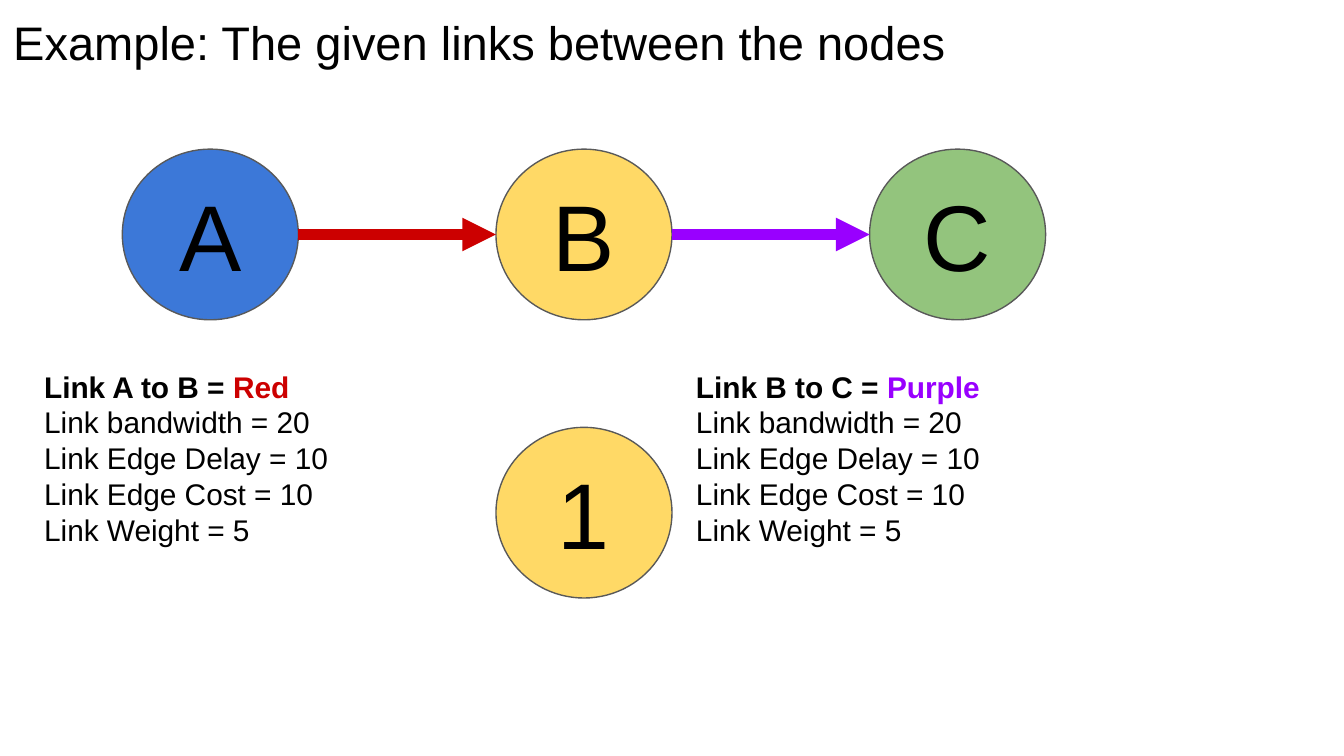
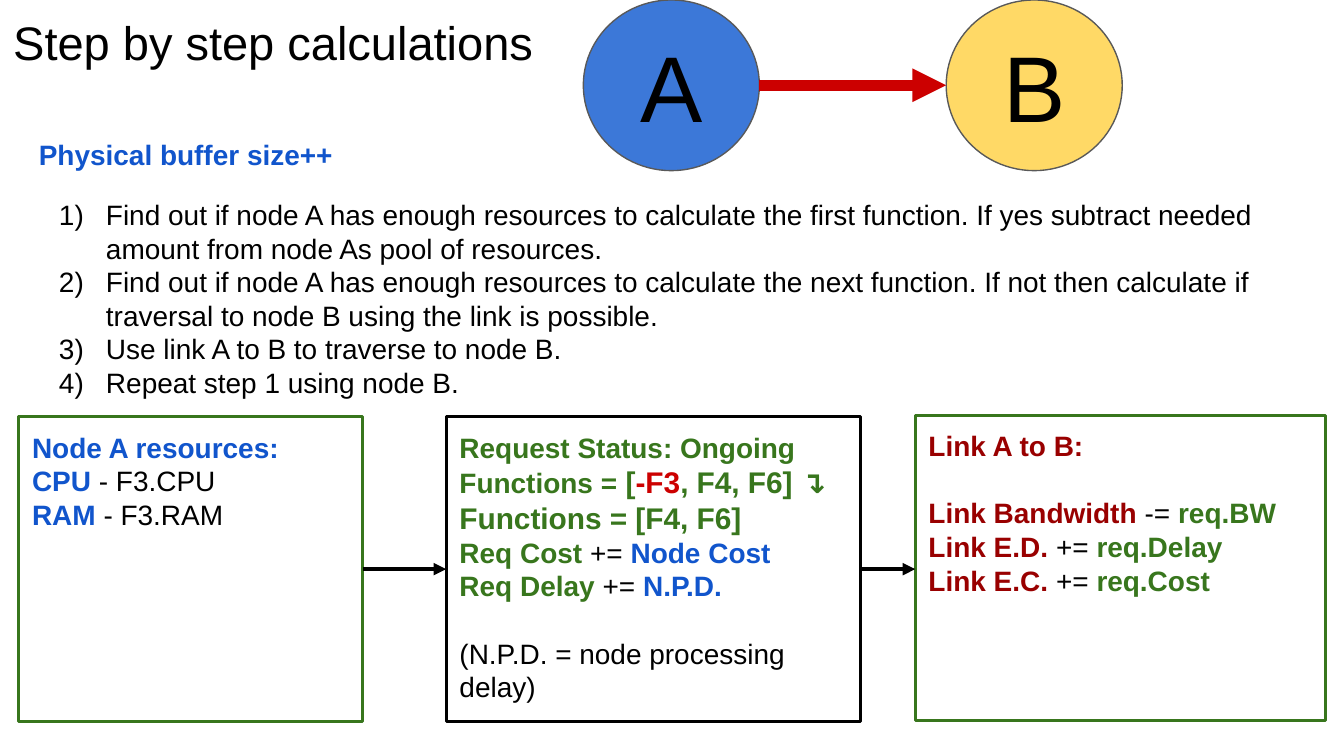
"""Build two slides on links between nodes and the step by step calculations."""
from lxml import etree
from pptx import Presentation
from pptx import util as u
from pptx.dml.color import RGBColor
from pptx.enum import shapes, text
from pptx.oxml import ns

THEME = {
    "font": "Arial",
    "title": 25.2, "node": 50, "link": 16, "body": 15,
    "outline": 0.75, "frame": 1.5, "flow": 2.25, "edge": 6,
    "colours": {
        "ink": "000000", "grey": "595959", "white": "FFFFFF",
        "blue": "1155CC", "green": "38761D", "maroon": "990000",
        "red": "CC0000", "purple": "9900FF",
        "node blue": "3C78D8", "node yellow": "FFD966", "node green": "93C47D",
    },
}
SLIDE_W = 10
SLIDE_H = SLIDE_W * 9 / 16
NODE_W, NODE_H = 1.31, 1.27
NODE_FILLS = {"A": "node blue", "B": "node yellow", "C": "node green", "1": "node yellow"}

LINK_FACTS = ["Link bandwidth = 20", "Link Edge Delay = 10",
              "Link Edge Cost = 10", "Link Weight = 5"]
LINKS = [
    {"name": "Link A to B = ", "colour": "Red", "left": 0.23},
    {"name": "Link B to C = ", "colour": "Purple", "left": 5.08},
]
STEPS = [
    "Find out if node A has enough resources to calculate the first function. "
    "If yes subtract needed amount from node As pool of resources. ",
    "Find out if node A has enough resources to calculate the next function. "
    "If not then calculate if traversal to node B using the link is possible.",
    "Use link A to B to traverse to node B.",
    "Repeat step 1 using node B.",
]
NODE_LINES = [
    [("Node A resources:", "blue")],
    [("CPU", "blue"), (" - F3.CPU ", "ink")],
    [("RAM", "blue"), (" - F3.RAM", "ink")],
]
REQUEST_LINES = [
    [("Request Status: Ongoing", "green")],
    [("Functions =", "green"), (" [", "green", THEME["link"]),
     ("-F3", "red", THEME["link"]), (", F4, F6] ↴", "green", THEME["link"])],
    [("Functions = [F4, F6]", "green", THEME["link"])],
    [("Req Cost ", "green"), ("+= ", "ink"), ("Node Cost", "blue")],
    [("Req Delay ", "green"), ("+= ", "ink"), ("N.P.D.", "blue")],
    [("(N.P.D. = node processing delay)", "ink")],
]
LINK_LINES = [
    [("Link A to B:", "maroon")],
    [("Link Bandwidth", "maroon"), (" -= ", "ink"), ("req.BW", "green")],
    [("Link E.D. ", "maroon"), ("+= ", "ink"), ("req.Delay", "green")],
    [("Link E.C. ", "maroon"), ("+= ", "ink"), ("req.Cost", "green")],
]
PANELS = [
    {"at": (0.14, 3.1, 2.56, 2.27), "frame": "green", "lines": NODE_LINES, "gap": None},
    {"at": (3.32, 3.1, 3.08, 2.27), "frame": "ink", "lines": REQUEST_LINES, "gap": 5},
    {"at": (6.81, 3.09, 3.05, 2.27), "frame": "green", "lines": LINK_LINES, "gap": 1},
]


def rgb(name):
    return RGBColor.from_string(THEME["colours"][name])


def inches(values):
    return [u.Inches(v) for v in values]


def add_run(p, words, colour, size, bold=False):
    r = p.add_run()
    r.text = words
    r.font.name = THEME["font"]
    r.font.size = u.Pt(size)
    r.font.bold = bold
    r.font.color.rgb = rgb(colour)


def fill_text(sp, lines, size, gap=None, anchor="TOP", align="LEFT"):
    tf = sp.text_frame
    tf.word_wrap = True
    tf.vertical_anchor = getattr(text.MSO_ANCHOR, anchor)
    tf.margin_left = tf.margin_right = tf.margin_top = tf.margin_bottom = u.Inches(0.1)
    for i, line in enumerate(lines):
        p = tf.add_paragraph() if i else tf.paragraphs[0]
        p.alignment = getattr(text.PP_ALIGN, align)
        if i == gap:
            p.space_before = u.Pt(size * 1.2)
        for words, colour, *own in line:
            bold = colour != "ink" or "bold" in own
            sizes = [v for v in own if v != "bold"]
            add_run(p, words, colour, sizes[0] if sizes else size, bold)
    return tf


def add_text(s, at, lines, size):
    return fill_text(s.shapes.add_textbox(*inches(at)), lines, size)


def add_outlined(s, kind, at, line, width, fill=None):
    sp = s.shapes.add_shape(kind, *inches(at))
    sp.shadow.inherit = False
    if fill:
        sp.fill.solid()
        sp.fill.fore_color.rgb = rgb(fill)
    else:
        sp.fill.background()
    sp.line.color.rgb = rgb(line)
    sp.line.width = u.Pt(width)
    return sp


def add_node(s, label, left, top):
    sp = add_outlined(s, shapes.MSO_SHAPE.OVAL, (left, top, NODE_W, NODE_H),
                      "grey", THEME["outline"], NODE_FILLS[label])
    fill_text(sp, [[(label, "ink")]], THEME["node"], anchor="MIDDLE", align="CENTER")


def add_arrow(s, x1, x2, y, colour, width):
    cx = s.shapes.add_connector(shapes.MSO_CONNECTOR.STRAIGHT, *inches((x1, y, x2, y)))
    cx.line.color.rgb = rgb(colour)
    cx.line.width = u.Pt(width)
    etree.SubElement(cx.line._get_or_add_ln(), ns.qn("a:tailEnd"), type="triangle")
    etree.SubElement(cx._element.spPr, ns.qn("a:effectLst"))


def add_chain(s, labels, left, top, step, colours):
    for i, label in enumerate(labels):
        add_node(s, label, left + i * step, top)
    for i, colour in enumerate(colours):
        x = left + i * step
        add_arrow(s, x + NODE_W, x + step, top + NODE_H / 2, colour, THEME["edge"])


def number(tf):
    for p in tf.paragraphs:
        pPr = p._p.get_or_add_pPr()
        pPr.set("marL", str(u.Inches(0.5)))
        pPr.set("indent", str(u.Inches(-0.35)))
        etree.SubElement(pPr, ns.qn("a:buAutoNum"), type="arabicParenR")


def add_slide(prs, title, width):
    s = prs.slides.add_slide(prs.slide_layouts[6])
    s.background.fill.solid()
    s.background.fill.fore_color.rgb = rgb("white")
    add_text(s, (0, 0, width, 0.62), [[(title, "ink")]], THEME["title"])
    return s


def build_links(prs):
    s = add_slide(prs, "Example: The given links between the nodes", SLIDE_W)
    left, middle, top = 0.91, 3.69, 1.11
    add_chain(s, "ABC", left, top, middle - left, [k["colour"].lower() for k in LINKS])
    for link in LINKS:
        heading = [(link["name"], "ink", "bold"), (link["colour"], link["colour"].lower())]
        facts = [[(fact, "ink")] for fact in LINK_FACTS]
        add_text(s, (link["left"], 2.64, 4.08, 1.82), [heading] + facts, THEME["link"])
    add_node(s, "1", middle, 3.18)


def build_steps(prs):
    s = add_slide(prs, "Step by step calculations", 4.13)
    add_chain(s, "AB", 4.34, 0, 2.7, ["red"])
    number(add_text(s, (0.19, 1.37, 9.61, 1.35),
                    [[(step, "ink")] for step in STEPS], THEME["body"]))
    add_text(s, (0.19, 0.92, 3.28, 0.45),
             [[("Physical buffer size++", "blue")]], THEME["body"])
    for panel in PANELS:
        sp = add_outlined(s, shapes.MSO_SHAPE.RECTANGLE, panel["at"],
                          panel["frame"], THEME["frame"])
        fill_text(sp, panel["lines"], THEME["body"], panel["gap"])
    for here, after in zip(PANELS, PANELS[1:]):
        left, top, width, height = here["at"]
        add_arrow(s, left + width, after["at"][0], top + height / 2, "ink", THEME["flow"])


prs = Presentation()
prs.slide_width, prs.slide_height = inches((SLIDE_W, SLIDE_H))
build_links(prs)
build_steps(prs)
prs.save("out.pptx")
